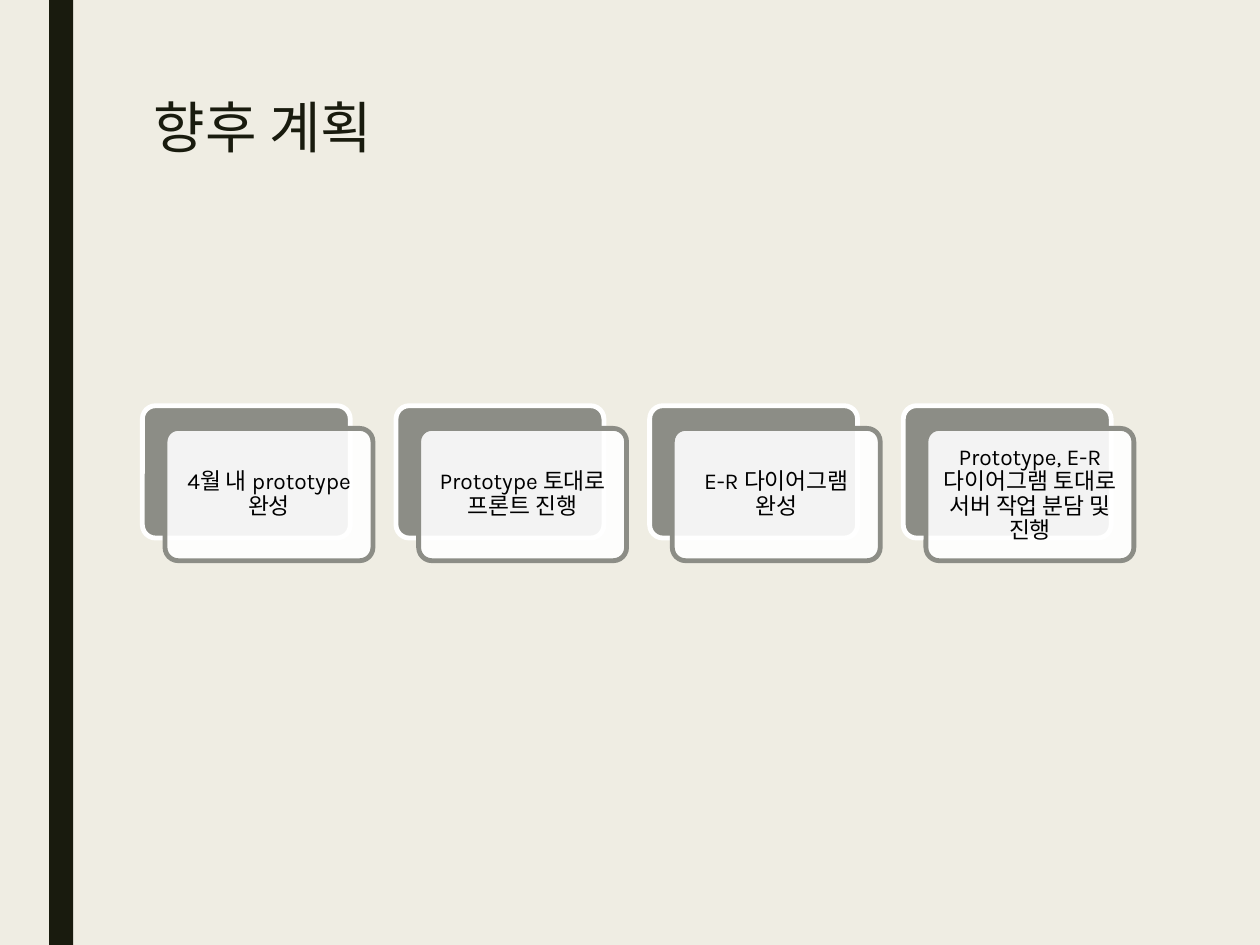
import pptx
import pptx.dml.color
import pptx.enum.shapes
import pptx.enum.text
import pptx.oxml
import pptx.oxml.ns
import pptx.util
from pptx.util import Inches, Pt

TITLE = "향후 계획"
STEPS = [
    "4월 내 prototype 완성",
    "Prototype 토대로 프론트 진행",
    "E-R 다이어그램 완성",
    "Prototype, E-R 다이어그램 토대로 서버 작업 분담 및 진행",
]
FONT = "Karla"
DARK, GRAY, WHITE, BLACK, CREAM = "191B0E", "8C8D86", "FFFFFF", "000000", "EFEDE3"
LEFT, TOP, PITCH = 1.13, 3.22, 2.013
CARD_W, CARD_H, OFFSET = 1.65, 1.05, 0.18
SHAPES = pptx.enum.shapes.MSO_SHAPE
ANCHOR = pptx.enum.text.MSO_ANCHOR
ALIGN = pptx.enum.text.PP_ALIGN


def paint(fmt, color):
    fmt.solid()
    fmt.fore_color.rgb = pptx.dml.color.RGBColor.from_string(color)


def add_box(slide, kind, x, y, w, h, fill, line=None):
    sp = slide.shapes.add_shape(kind, Inches(x), Inches(y), Inches(w), Inches(h))
    sp.shadow.inherit = False
    paint(sp.fill, fill)
    if line:
        paint(sp.line.fill, line)
        sp.line.width = Pt(2.75)
    else:
        sp.line.fill.background()
    return sp


def add_card(slide, x, y, fill, line):
    sp = add_box(slide, SHAPES.ROUNDED_RECTANGLE, x, y, CARD_W, CARD_H, fill, line)
    sp.adjustments[0] = 0.1
    return sp


def set_opacity(sp, percent):
    color = sp.fill._xPr.find(".//" + pptx.oxml.ns.qn("a:srgbClr"))
    alpha = pptx.oxml.parse_xml(
        f'<a:alpha {pptx.oxml.ns.nsdecls("a")} val="{percent * 1000}"/>')
    color.append(alpha)


def write(tf, text, size, color, align, anchor, spacing):
    tf.word_wrap = True
    tf.vertical_anchor = anchor
    p = tf.paragraphs[0]
    p.text = text
    p.alignment = align
    p.line_spacing = spacing
    p.font.name = FONT
    p.font.size = Pt(size)
    paint(p.font.fill, color)


def main():
    prs = pptx.Presentation()
    prs.slide_width, prs.slide_height = Inches(10), Inches(7.5)
    slide = prs.slides.add_slide(prs.slide_layouts[5])
    paint(slide.background.fill, CREAM)
    add_box(slide, SHAPES.RECTANGLE, 0.39, 0, 0.19, 7.5, DARK)

    title = slide.shapes.title
    title.left, title.top = Inches(1.12), Inches(0.75)
    title.width, title.height = Inches(7.88), Inches(1.62)
    write(title.text_frame, TITLE, 32, DARK, ALIGN.LEFT, ANCHOR.TOP, 0.89)

    for i, step in enumerate(STEPS):
        x = LEFT + i * PITCH
        add_card(slide, x, TOP, GRAY, WHITE)
        card = add_card(slide, x + OFFSET, TOP + OFFSET, WHITE, GRAY)
        set_opacity(card, 90)
        tf = card.text_frame
        tf.margin_left = tf.margin_right = Inches(0.05)
        tf.margin_top = tf.margin_bottom = Inches(0.05)
        write(tf, step, 13, BLACK, ALIGN.CENTER, ANCHOR.MIDDLE, 0.9)

    prs.save("out.pptx")


if __name__ == "__main__":
    main()
